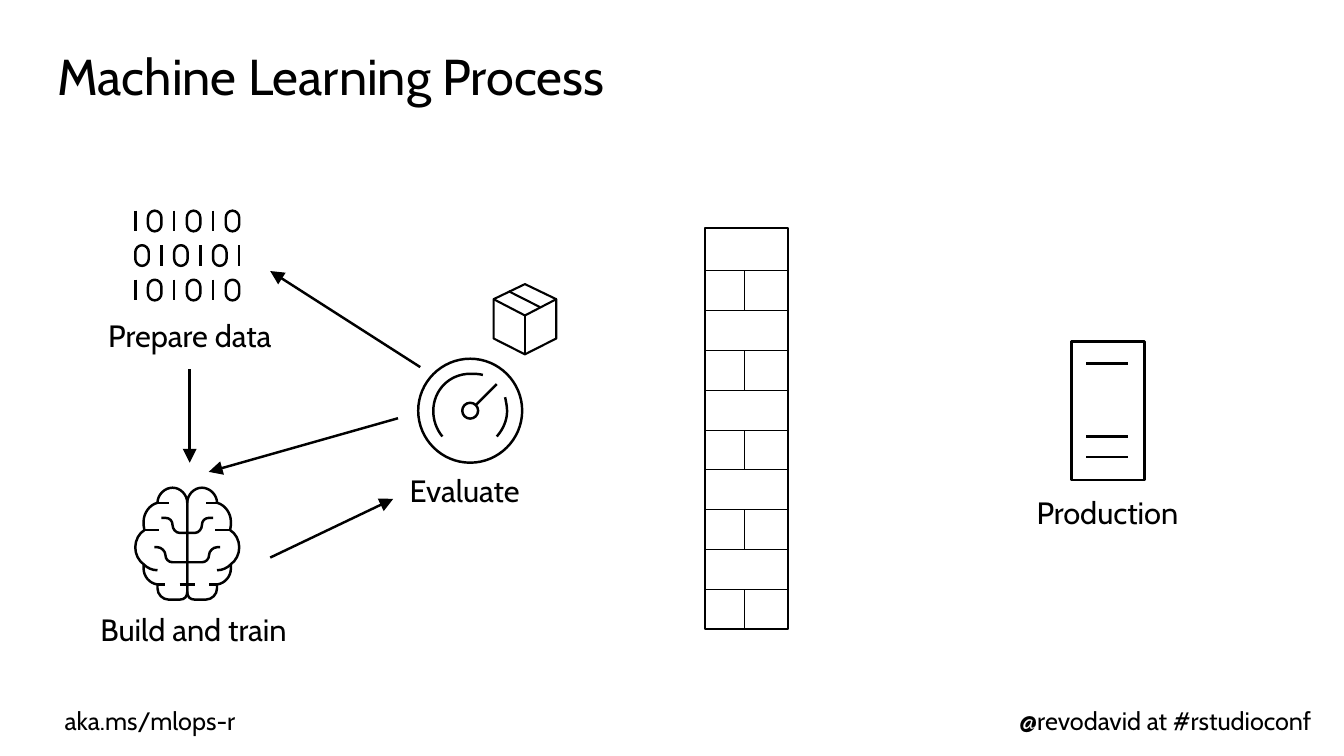
from lxml.etree import SubElement
from pptx import Presentation
from pptx.dml.color import RGBColor
from pptx.enum.shapes import MSO_CONNECTOR, MSO_SHAPE
from pptx.enum.text import MSO_ANCHOR, MSO_AUTO_SIZE, PP_ALIGN
from pptx.oxml.ns import qn
from pptx.util import Cm, Pt

theme = {
    "ink": RGBColor(0, 0, 0), "font": "Cabin",
    "title": Pt(36), "label": Pt(22), "foot": Pt(18),
    "bold": Pt(1.75), "mid": Pt(1.5), "thin": Pt(0.75),
}

deck = Presentation()
deck.slide_width, deck.slide_height = Cm(33.87), Cm(19.05)
slide = deck.slides.add_slide(deck.slide_layouts[5])
shapes = slide.shapes


def write(text, box, size, align=PP_ALIGN.CENTER, inset=(0.25, 0.13, 0.25, 0.13), shape=None, space=None):
    shape = shape or shapes.add_textbox(0, 0, 0, 0)
    shape.left, shape.top, shape.width, shape.height = map(Cm, box)
    frame = shape.text_frame
    frame.word_wrap = True
    frame.auto_size = MSO_AUTO_SIZE.NONE
    frame.vertical_anchor = MSO_ANCHOR.TOP
    frame.margin_left, frame.margin_top, frame.margin_right, frame.margin_bottom = map(Cm, inset)
    para = frame.paragraphs[0]
    para.alignment, para.line_spacing = align, space
    run = para.add_run()
    run.text = text
    run.font.name, run.font.size = theme["font"], theme[size]
    run.font.color.rgb = theme["ink"]


def draw(left, top, strokes, width="bold"):
    pen = None
    for stroke in strokes:
        dots = [(Cm(left + part[-2]), Cm(top + part[-1])) for part in stroke]
        if pen is None:
            pen = shapes.build_freeform(*dots[0])
        else:
            pen.move_to(*dots[0])
        pen.add_line_segments(dots[1:], close=False)
    icon = pen.convert_to_shape()
    icon.shadow.inherit = False
    icon.fill.background()
    icon.line.color.rgb, icon.line.width = theme["ink"], theme[width]
    parts = [part for stroke in strokes for part in stroke[1:]]
    for edge, part in zip(list(icon._element.iter(qn("a:lnTo"))), parts):
        if len(part) == 6:
            edge.tag = qn("a:cubicBezTo")
            for child in list(edge):
                edge.remove(child)
            for x, y in zip(part[::2], part[1::2]):
                SubElement(edge, qn("a:pt"), x=str(Cm(left + x) - icon.left), y=str(Cm(top + y) - icon.top))


write("Machine Learning Process", (1.19, 0.84, 31.5, 2.06), "title", align=PP_ALIGN.LEFT,
      inset=(0.25, 0.46, 0, 0), shape=shapes.title, space=0.9)
for text, left, align in [
    ("aka.ms/mlops-r", 1.63, PP_ALIGN.LEFT),
    ("@revodavid at #rstudioconf", 21.49, PP_ALIGN.RIGHT),
]:
    write(text, (left, 17.78, 11.56, 0.76), "foot", align=align, inset=(0, 0, 0, 0))
for text, left, top, wide in [
    ("Prepare data", 2.27, 7.85, 5.03),
    ("Build and train", 2.01, 15.27, 5.74),
    ("Evaluate", 8.84, 11.76, 5.74),
    ("Production", 25.04, 12.32, 5.74),
]:
    write(text, (left, top, wide, 1.19), "label")

zero = [
    (0.17, 0.08), (0.17, -0.08), (0.17, -0.18, 0.09, -0.26, 0, -0.26),
    (-0.09, -0.26, -0.17, -0.18, -0.17, -0.08), (-0.17, 0.08),
    (-0.17, 0.18, -0.09, 0.26, 0, 0.26), (0.09, 0.26, 0.17, 0.18, 0.17, 0.08),
]
glyphs = {"0": zero, "1": [(0, -0.26), (0, 0.26)]}
digits = []
for row, bits in enumerate(["101010", "010101", "101010"]):
    for col, bit in enumerate(bits):
        spot = (0.49 * col + 0.17 * (row % 2), 0.87 * row)
        digits.append([tuple(v + spot[i % 2] for i, v in enumerate(part)) for part in glyphs[bit]])
draw(3.41, 5.57, digits)

lobes = [
    [(-0.75, 2.44), (-0.95, 2.41, -1.1, 2.24, -1.1, 2.03), (-1.1, 1.98, -1.1, 1.96, -1.1, 1.93),
     (-1.23, 1.83, -1.31, 1.68, -1.31, 1.5), (-1.31, 1.32, -1.21, 1.14, -1.08, 1.07),
     (-1.1, 0.99, -1.1, 0.91, -1.1, 0.86), (-1.1, 0.64, -0.95, 0.43, -0.75, 0.38),
     (-0.75, 0.18, -0.57, 0, -0.37, 0), (-0.17, 0, 0, 0.18, 0, 0.38), (0, 2.44)],
    [(-0.75, 2.44), (-0.55, 2.44)],
    [(-0.83, 1.5), (-0.75, 1.5), (-0.65, 1.5, -0.55, 1.6, -0.55, 1.7),
     (-0.55, 1.8, -0.47, 1.88, -0.37, 1.88), (0, 1.88)],
    [(-0.65, 0.76), (-0.55, 0.76), (-0.44, 0.76, -0.37, 0.84, -0.37, 0.94),
     (-0.37, 1.04, -0.29, 1.14, -0.19, 1.14), (0, 1.14)],
    [(-1.1, 1.93), (-1, 2.03, -0.88, 2.08, -0.75, 2.08)],
    [(-1.08, 1.07), (-0.7, 1.07)],
    [(-0.75, 0.38), (-0.47, 0.38)],
    [(-0.19, 2.44), (0, 2.44)],
    [(-0.75, 2.44), (-0.75, 2.54), (-0.75, 2.69, -0.62, 2.82, -0.47, 2.82), (-0.19, 2.82),
     (-0.06, 2.82, 0, 2.74, 0, 2.62), (0, 2.44)],
]
mirror = [[tuple(v if i % 2 else -v for i, v in enumerate(part)) for part in lobe] for lobe in lobes]
draw(4.72, 12.29, lobes + mirror)

ring = [
    (0, -1), (0.55, -1, 1, -0.55, 1, 0), (1, 0.55, 0.55, 1, 0, 1),
    (-0.55, 1, -1, 0.55, -1, 0), (-1, -0.55, -0.55, -1, 0, -1),
]
rings = [[tuple(size * v for v in part) for part in ring] for size in (0.2, 1.31)]
draw(11.85, 10.35, rings + [
    [(0.67, 0.65), (0.83, 0.47, 0.93, 0.24, 0.93, 0.01), (0.93, -0.11, 0.9, -0.24, 0.88, -0.34)],
    [(0.32, -0.9), (0.22, -0.93, 0.11, -0.93, 0, -0.93), (-0.52, -0.93, -0.93, -0.52, -0.93, 0.01),
     (-0.93, 0.24, -0.85, 0.47, -0.7, 0.65)],
    [(0.67, -0.67), (0.14, -0.14)],
])

draw(13.23, 7.16, [
    [(0.79, 0.38), (0, 0.79), (-0.79, 0.38)],
    [(-0.41, 0.18), (0.38, 0.58)],
    [(0.79, 0.38), (0, 0), (-0.79, 0.38), (-0.79, 1.37), (0, 1.77), (0.79, 1.37), (0.79, 0.38)],
    [(0, 0.79), (0, 1.77)],
], width="mid")

case = [(0, 0), (1.84, 0), (1.84, 3.48), (0, 3.48), (0, 0)]
draw(27, 8.61, [case] + [[(0.38, y), (1.43, y)] for y in (0.55, 2.39, 2.9)])

left, right, joint = 17.76, 19.85, 18.75
top, first, base = 5.74, 6.82, 15.86
course = (base - first) / 9
wall = shapes.add_group_shape().shapes
frame = wall.add_shape(MSO_SHAPE.RECTANGLE, Cm(left), Cm(top), Cm(right - left), Cm(base - top))
frame.shadow.inherit = False
frame.fill.background()
frame.line.color.rgb, frame.line.width = theme["ink"], theme["mid"]

lines = [(shapes, ends, "bold") for ends in [
    (4.78, 9.3, 4.78, 11.66),
    (6.81, 14.05, 9.91, 12.57),
    (10.59, 9.25, 6.81, 6.83),
    (10.03, 10.54, 5.26, 11.89),
]]
for row in range(9):
    y = first + row * course
    lines.append((wall, (left, y, right, y), "thin"))
    if row % 2 == 0:
        lines.append((wall, (joint, y, joint, y + course), "thin"))
for home, ends, width in lines:
    line = home.add_connector(MSO_CONNECTOR.STRAIGHT, *map(Cm, ends))
    line.line.color.rgb, line.line.width = theme["ink"], theme[width]
    if home is shapes:
        SubElement(line.line._get_or_add_ln(), qn("a:tailEnd"), type="triangle", w="lg", len="lg")
    SubElement(line._element.spPr, qn("a:effectLst"))

deck.save("out.pptx")
